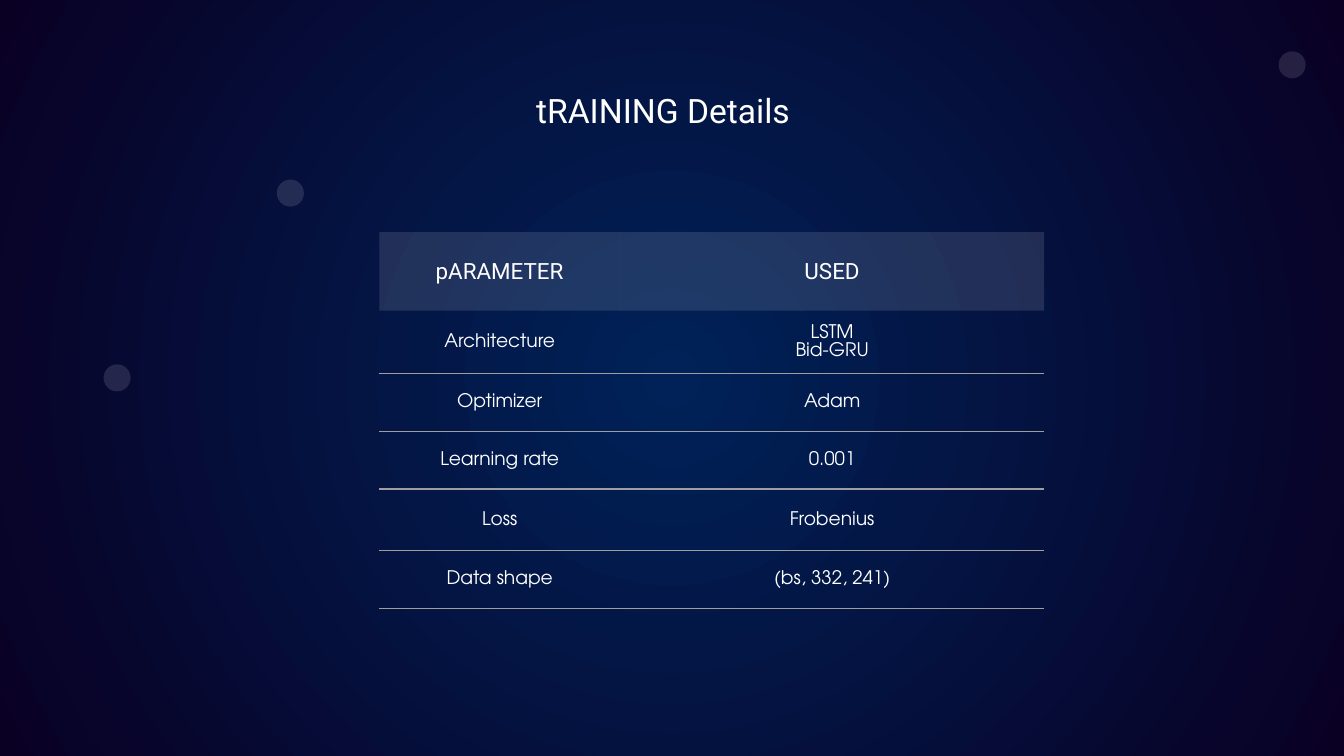
from lxml import etree
from pptx import Presentation
from pptx.dml.color import RGBColor
from pptx.enum.shapes import MSO_SHAPE
from pptx.enum.text import MSO_ANCHOR, PP_ALIGN
from pptx.oxml.ns import qn
from pptx.util import Pt

CENTER = PP_ALIGN.CENTER
MIDDLE = MSO_ANCHOR.MIDDLE
ELLIPSE = MSO_SHAPE.OVAL

WHITE, RULE = "FFFFFF", "9E9E9E"
GLOW, EDGE = "002258", "090024"
HEADING_FONT, BODY_FONT = "Roboto", "TeX Gyre Adventor"
VEIL = 12

TITLE = "tRAINING Details"
ROWS = [
    ("pARAMETER", "USED"),
    ("Architecture", "LSTM\nBid-GRU"),
    ("Optimizer", "Adam"),
    ("Learning rate", "0.001"),
    ("Loss", "Frobenius"),
    ("Data shape", "(bs, 332, 241)"),
]
COLUMN_WIDTHS = [129, 227.25]
ROW_HEIGHTS = [42, 33, 31, 31, 33, 31]
TABLE_LEFT, TABLE_TOP = 203.2, 124.4
DOTS = [(55.5, 195.2), (148.3, 96.2), (685, 27.5)]
DOT_SIZE = 14.5


def color(value):
    return RGBColor.from_string(value)


def add_veil(owner, fill):
    fill.solid()
    fill.fore_color.rgb = color(WHITE)
    tint = owner.find(".//" + qn("a:solidFill")).find(qn("a:srgbClr"))
    etree.SubElement(tint, qn("a:alpha"), val=str(VEIL * 1000))


def add_text(para, text, font, size):
    para.alignment = CENTER
    span = para.add_run()
    span.text = text
    span.font.name = font
    span.font.size = Pt(size)
    span.font.color.rgb = color(WHITE)


def set_borders(cell, ruled_sides):
    properties = cell._tc.get_or_add_tcPr()
    for index, side in enumerate("LRTB"):
        line = etree.Element(qn("a:ln" + side), w=str(Pt(0.75)))
        if side in ruled_sides:
            fill = etree.SubElement(line, qn("a:solidFill"))
            etree.SubElement(fill, qn("a:srgbClr"), val=RULE)
        else:
            etree.SubElement(line, qn("a:noFill"))
        properties.insert(index, line)


def paint_background(page):
    fill = page.background.fill
    fill.gradient()
    for stop, position, value in zip(fill.gradient_stops, (0, 1), (GLOW, EDGE)):
        stop.position = position
        stop.color.rgb = color(value)
    gradient = page.element.find(".//" + qn("a:gradFill"))
    gradient.remove(gradient.find(qn("a:lin")))
    circle = etree.SubElement(gradient, qn("a:path"), path="circle")
    etree.SubElement(circle, qn("a:fillToRect"), l="50000", t="50000", r="50000", b="50000")


def add_dots(page):
    for left, top in DOTS:
        dot = page.shapes.add_shape(ELLIPSE, Pt(left), Pt(top), Pt(DOT_SIZE), Pt(DOT_SIZE))
        dot.shadow.inherit = False
        add_veil(dot._element.spPr, dot.fill)
        dot.line.fill.background()


def add_title(page):
    box = page.shapes.title
    box.left, box.top, box.width, box.height = Pt(100.8), Pt(41.8), Pt(517.7), Pt(33.8)
    frame = box.text_frame
    frame.vertical_anchor = MIDDLE
    frame.margin_left = frame.margin_top = frame.margin_bottom = Pt(7.2)
    frame.margin_right = Pt(16)
    add_text(frame.paragraphs[0], TITLE, HEADING_FONT, 18)


def fill_cell(cell, text, row):
    cell.vertical_anchor = MIDDLE
    cell.margin_left = cell.margin_right = cell.margin_top = cell.margin_bottom = Pt(7.2)
    font, size = (BODY_FONT, 10) if row else (HEADING_FONT, 12)
    frame = cell.text_frame
    for index, line in enumerate(text.split("\n")):
        para = frame.add_paragraph() if index else frame.paragraphs[0]
        if row:
            para.line_spacing = Pt(9.6)
        add_text(para, line, font, size)
    if row:
        cell.fill.background()
    else:
        add_veil(cell._tc.tcPr, cell.fill)
    set_borders(cell, "TB" if row > 1 else "B" if row else "")


def add_details(page):
    table = page.shapes.add_table(
        len(ROWS), len(COLUMN_WIDTHS), Pt(TABLE_LEFT), Pt(TABLE_TOP),
        Pt(sum(COLUMN_WIDTHS)), Pt(sum(ROW_HEIGHTS))).table
    table.first_row = table.horz_banding = False
    for column, width in zip(table.columns, COLUMN_WIDTHS):
        column.width = Pt(width)
    for row, texts in enumerate(ROWS):
        table.rows[row].height = Pt(ROW_HEIGHTS[row])
        for column, text in enumerate(texts):
            fill_cell(table.cell(row, column), text, row)


def main():
    """Build the training details slide."""
    deck = Presentation()
    deck.slide_width, deck.slide_height = Pt(720), Pt(405)
    page = deck.slides.add_slide(deck.slide_layouts[5])
    paint_background(page)
    add_dots(page)
    add_title(page)
    add_details(page)
    deck.save("out.pptx")


if __name__ == "__main__":
    main()
